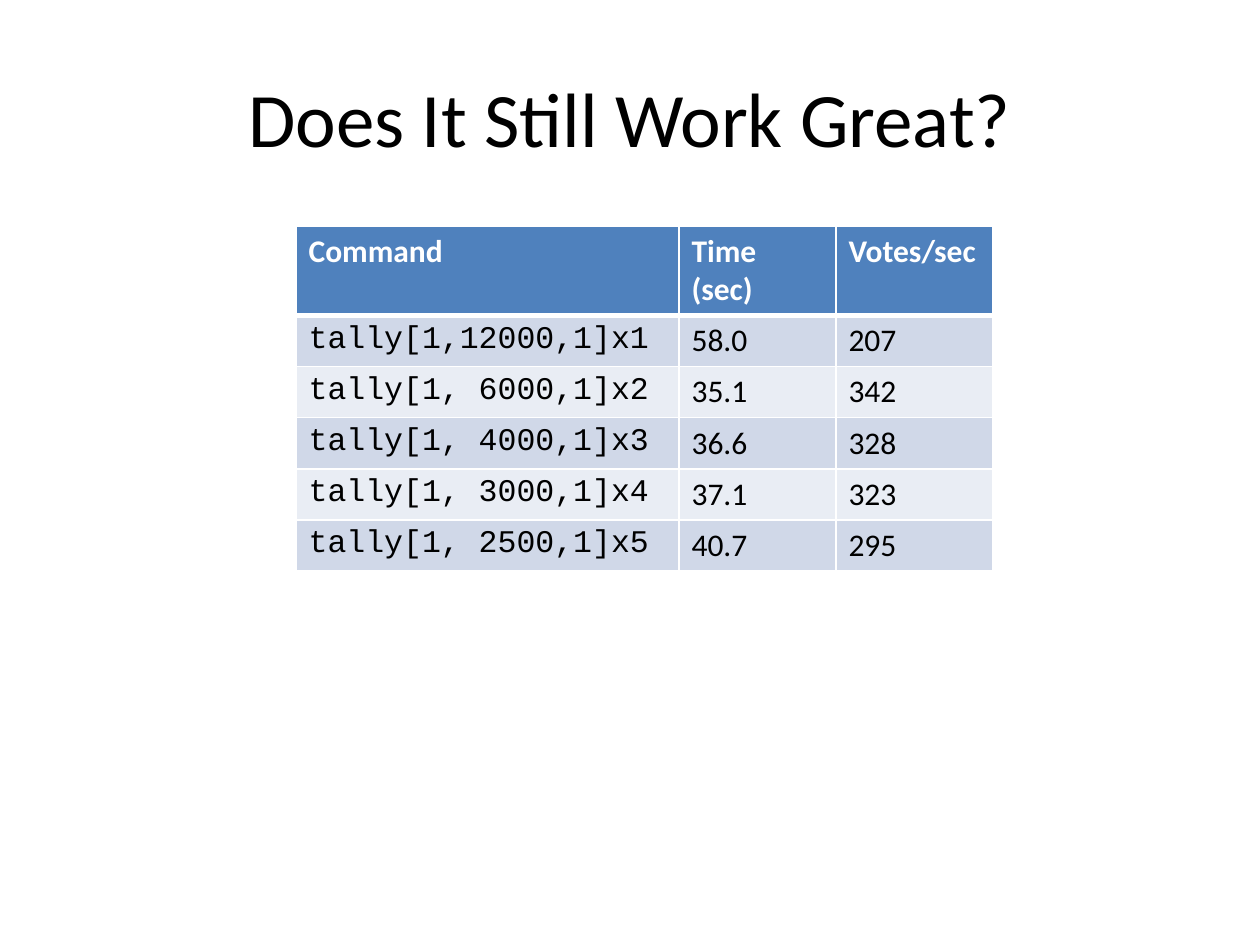
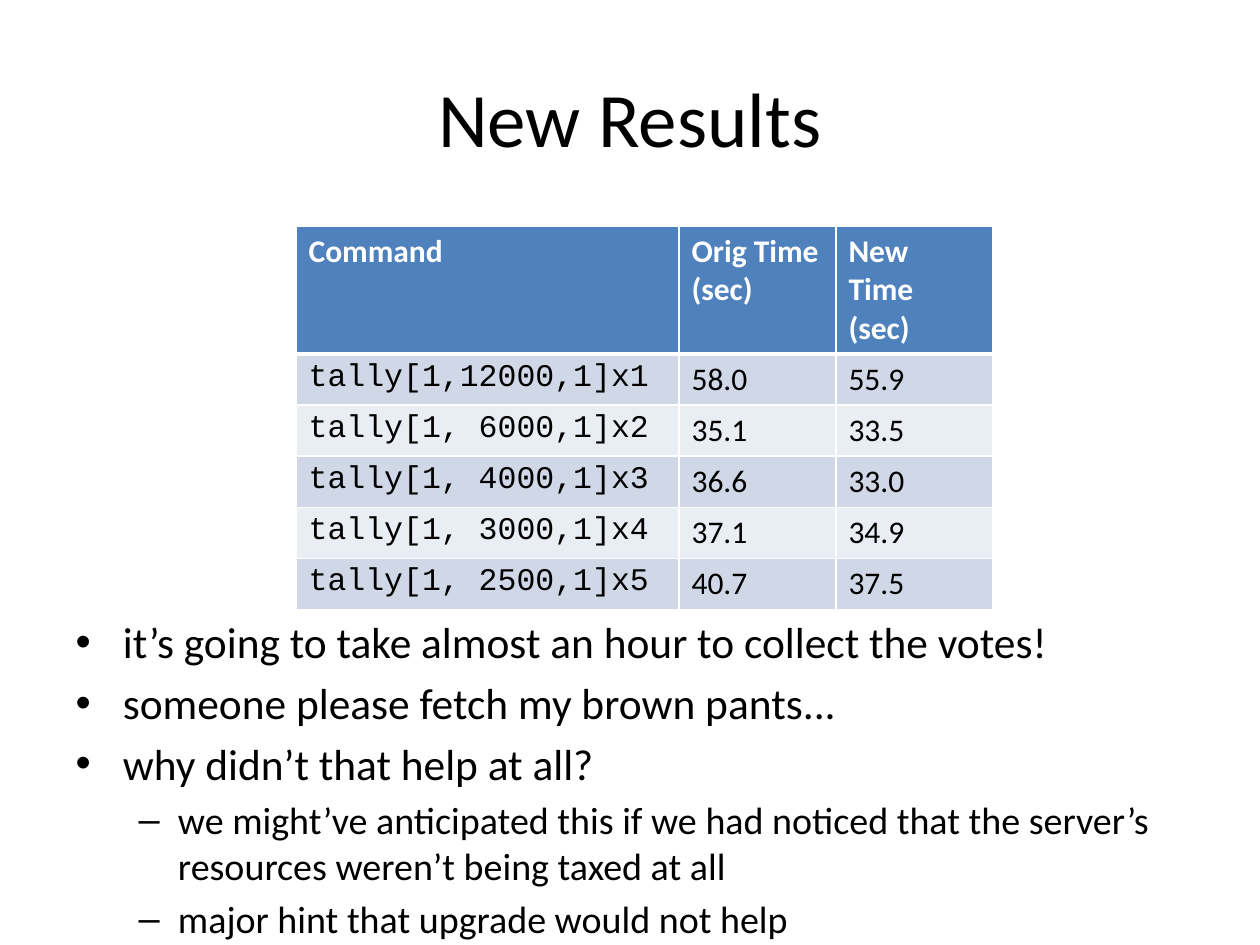
from lxml import etree
from pptx import Presentation
from pptx.dml.color import RGBColor
from pptx.enum.text import MSO_ANCHOR, MSO_AUTO_SIZE, PP_ALIGN
from pptx.oxml.ns import qn
from pptx.util import Pt

CENTER, MIDDLE, NO_FIT = PP_ALIGN.CENTER, MSO_ANCHOR.MIDDLE, MSO_AUTO_SIZE.NONE
PX = 914400 // 126
SLIDE_W, SLIDE_H = 1260, 945
SANS, MONO = "Calibri", "Courier New"
BLACK, WHITE = RGBColor(0, 0, 0), RGBColor(255, 255, 255)
HEADER = RGBColor(0x4F, 0x81, 0xBD)
BANDS = (RGBColor(0xD0, 0xD8, 0xE8), RGBColor(0xE9, 0xED, 0xF4))

TITLE_BOX = (63, 38, 1134, 157)
TABLE_BOX = (296, 226, 698, 344)
BODY_BOX = (63, 609, 1134, 290)
COL_WIDTHS = (383, 157, 157)
ROW_HEIGHT = 51

COMMANDS = ["tally[1,12000,1]x1", "tally[1, 6000,1]x2", "tally[1, 4000,1]x3",
            "tally[1, 3000,1]x4", "tally[1, 2500,1]x5"]
ORIG_TIMES = ["58.0", "35.1", "36.6", "37.1", "40.7"]
VOTE_RATES = ["207", "342", "328", "323", "295"]
NEW_TIMES = ["55.9", "33.5", "33.0", "34.9", "37.5"]

TITLE_AND_BODY, TITLE_ONLY = 1, 5
SLIDES = [
    {"title": "Does It Still Work Great?",
     "heads": ("Command", "Time (sec)", "Votes/sec"),
     "columns": (COMMANDS, ORIG_TIMES, VOTE_RATES),
     "bullets": []},
    {"title": "New Results",
     "heads": ("Command", "Orig Time\n(sec)", "New Time\n(sec)"),
     "columns": (COMMANDS, ORIG_TIMES, NEW_TIMES),
     "bullets": [
         (0, "it’s going to take almost an hour to collect the votes!"),
         (0, "someone please fetch my brown pants..."),
         (0, "why didn’t that help at all?"),
         (1, "we might’ve anticipated this if we had noticed that the "
             "server’s resources weren’t being taxed at all"),
         (1, "major hint that upgrade would not help")]},
]
BULLET_SIZES = (24.8, 21.7)


def emu(box):
    """Turn pixel lengths into EMU."""
    return [n * PX for n in box]


def place(sp, box):
    """Move and size a shape to a pixel box."""
    sp.left, sp.top, sp.width, sp.height = emu(box)


def style(p, size, name=SANS, color=BLACK, bold=False):
    """Format every run of a paragraph."""
    for r in p.runs:
        for key, value in {"size": Pt(size), "name": name, "bold": bold}.items():
            setattr(r.font, key, value)
        r.font.color.rgb = color


def add_border(cell, side, width):
    """Draw one white cell edge; edges must come before the fill."""
    ln = etree.SubElement(cell._tc.get_or_add_tcPr(), qn("a:ln" + side),
                          w=str(Pt(width)))
    fill = etree.SubElement(ln, qn("a:solidFill"))
    etree.SubElement(fill, qn("a:srgbClr"), val=str(WHITE))


def add_results(s, heads, columns):
    """Add the banded table of timings."""
    rows = [heads, *zip(*columns)]
    frame = s.shapes.add_table(len(rows), len(heads), *emu(TABLE_BOX))
    table = frame.table
    for col, width in zip(table.columns, COL_WIDTHS):
        col.width = width * PX
    for i, texts in enumerate(rows):
        table.rows[i].height = ROW_HEIGHT * PX
        for j, text in enumerate(texts):
            cell = table.cell(i, j)
            for side in "LRTB":
                under_header = (i, side) in ((0, "B"), (1, "T"))
                add_border(cell, side, 3 if under_header else 1)
            cell.fill.solid()
            cell.fill.fore_color.rgb = BANDS[(i - 1) % 2] if i else HEADER
            cell.text = text
            for p in cell.text_frame.paragraphs:
                style(p, 18, MONO if i and j == 0 else SANS,
                      BLACK if i else WHITE, i == 0)
    frame.height = TABLE_BOX[3] * PX


def add_title(s, text):
    """Fill and format the title placeholder."""
    sp = s.shapes.title
    place(sp, TITLE_BOX)
    tf = sp.text_frame
    tf.text, tf.vertical_anchor = text, MIDDLE
    tf.paragraphs[0].alignment = CENTER
    style(tf.paragraphs[0], 44)


def add_bullets(s, bullets):
    """Fill the body placeholder, whose levels bring bullets and indents."""
    sp = s.placeholders[1]
    place(sp, BODY_BOX)
    tf = sp.text_frame
    tf.auto_size = NO_FIT
    tf.text = "\n".join(text for _, text in bullets)
    for p, (level, _) in zip(tf.paragraphs, bullets):
        p.level = level
        style(p, BULLET_SIZES[level])


prs = Presentation()
prs.slide_width, prs.slide_height = emu((SLIDE_W, SLIDE_H))
for data in SLIDES:
    layout = TITLE_AND_BODY if data["bullets"] else TITLE_ONLY
    s = prs.slides.add_slide(prs.slide_layouts[layout])
    add_title(s, data["title"])
    add_results(s, data["heads"], data["columns"])
    if data["bullets"]:
        add_bullets(s, data["bullets"])
prs.save("out.pptx")
